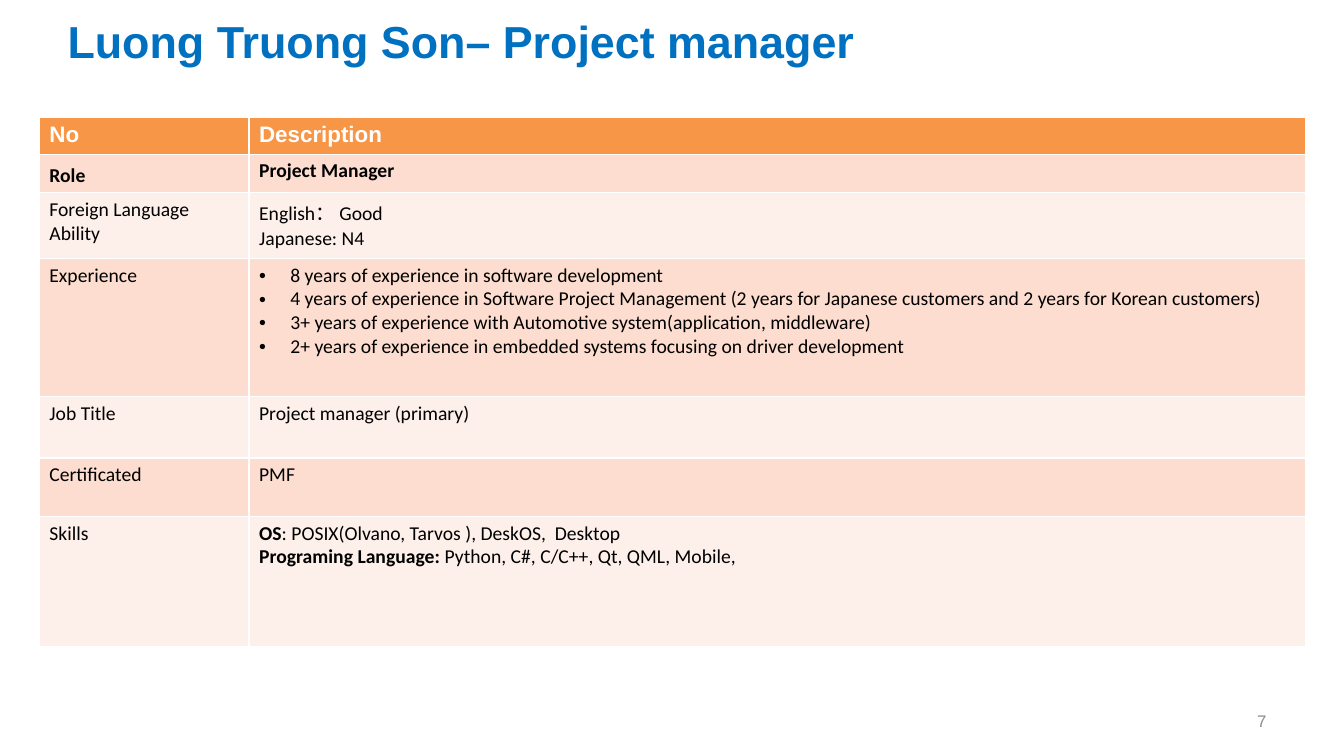
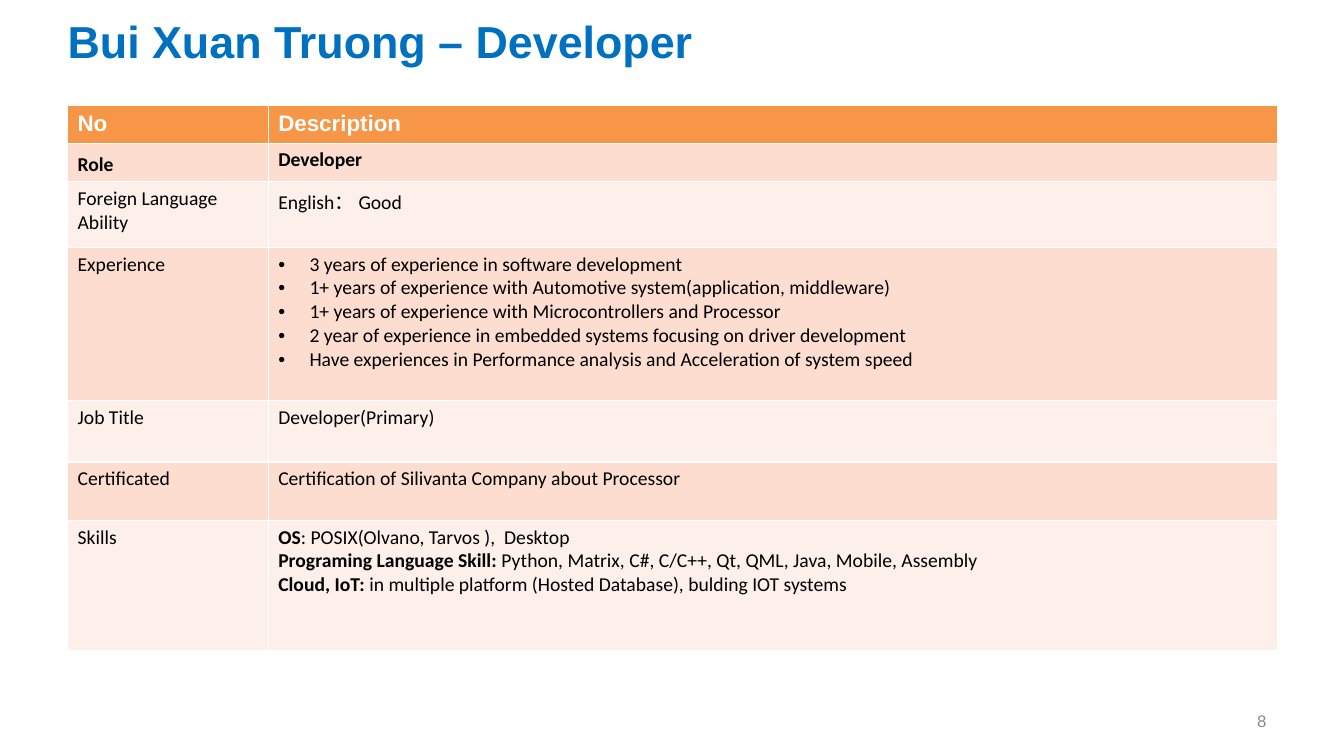
from lxml import etree
from pptx import Presentation
from pptx.dml.color import RGBColor
from pptx.enum import text
from pptx.oxml import ns
from pptx.util import Inches, Pt

HEADER_FILL = "F79646"
BAND_FILLS = ["FDEFE9", "FCDDCF"]
TITLE_FORMAT = {"name": "Arial", "size": Pt(32), "bold": True, "color": "0070C0"}
HEADER_FORMAT = {"name": "Arial", "size": Pt(16), "bold": True, "color": "FFFFFF"}
BODY_FORMAT = {"name": "Calibri", "size": Pt(14), "bold": False, "color": "000000"}
STRONG_FORMAT = {**BODY_FORMAT, "bold": True}
NUMBER_FORMAT = {"name": "Arial", "size": Pt(12), "bold": False, "color": "8C8C8C"}
TITLE_FRAME = {
    "margin_left": 0, "margin_right": Inches(0.13),
    "margin_top": Inches(0.07), "margin_bottom": Inches(0.07),
    "vertical_anchor": text.MSO_ANCHOR.MIDDLE,
    "word_wrap": True, "auto_size": text.MSO_AUTO_SIZE.NONE,
}
LABELS = [
    ["No"], ["Role\u3000"], ["Foreign Language", "Ability"], ["Experience"],
    ["Job Title "], ["Certificated"], ["Skills"],
]
EXPERIENCE_ROW = 3

profiles = [
    {
        "title": "Luong Truong Son\u2013 Project manager",
        "number": "7",
        "place": (0.39, 1.16),
        "columns": [2.08, 10.48],
        "experience_height": 1.37,
        "details": [
            ["Description"],
            ["Project Manager"],
            ["English\uff1a Good", "Japanese: N4"],
            [
                "8 years of experience in software development",
                "4 years of experience in Software Project Management "
                "(2 years for Japanese customers and 2 years for Korean customers)",
                "3+ years of experience with Automotive system(application, middleware)",
                "2+ years of experience in embedded systems focusing on driver development",
            ],
            ["Project manager (primary)"],
            ["PMF"],
            [
                "OS|: POSIX(Olvano, Tarvos ), DeskOS,  Desktop",
                "Programing Language: |Python, C#, C/C++, Qt, QML, Mobile, ",
            ],
        ],
    },
    {
        "title": "Bui Xuan Truong \u2013 Developer",
        "number": "8",
        "place": (0.67, 1.05),
        "columns": [1.99, 10.01],
        "experience_height": 1.52,
        "details": [
            ["Description"],
            ["Developer"],
            ["English\uff1a Good"],
            [
                "3 years of experience in software development",
                "1+ years of experience with Automotive system(application, middleware)",
                "1+ years of experience with Microcontrollers and Processor ",
                "2 year of experience in embedded systems focusing on driver development",
                "Have experiences in Performance analysis and Acceleration of system speed",
            ],
            ["Developer(Primary)"],
            ["Certification of Silivanta Company about Processor "],
            [
                "OS|: POSIX(Olvano, Tarvos ),  Desktop",
                "Programing Language Skill: |Python, Matrix, C#, C/C++, Qt, QML, Java, Mobile, Assembly",
                "Cloud, IoT: |in multiple platform (Hosted Database), bulding IOT systems",
            ],
        ],
    },
]


def color(hex_string):
    return RGBColor.from_string(hex_string)


def add_run(paragraph, words, style):
    run = paragraph.add_run()
    run.text = words
    for name, value in style.items():
        if name == "color":
            run.font.color.rgb = color(value)
        else:
            setattr(run.font, name, value)


presentation = Presentation()
presentation.slide_width = Inches(13.33)
presentation.slide_height = Inches(7.5)
title_only = presentation.slide_layouts[5]

for profile in profiles:
    slide = presentation.slides.add_slide(title_only)

    title = slide.shapes.title
    title.left, title.top, title.width, title.height = map(Inches, (0.67, 0.17, 12, 0.47))
    for name, value in TITLE_FRAME.items():
        setattr(title.text_frame, name, value)
    paragraph = title.text_frame.paragraphs[0]
    paragraph.alignment = text.PP_ALIGN.LEFT
    add_run(paragraph, profile["title"], TITLE_FORMAT)

    heights = [0.37, 0.37, 0.65, profile["experience_height"], 0.61, 0.58, 1.29]
    left, top = profile["place"]
    columns = profile["columns"]
    table = slide.shapes.add_table(
        len(heights), len(columns), Inches(left), Inches(top),
        Inches(sum(columns)), Inches(sum(heights)),
    ).table
    for column, width in zip(table.columns, columns):
        column.width = Inches(width)

    for row, height in enumerate(heights):
        table.rows[row].height = Inches(height)
        style = [HEADER_FORMAT, STRONG_FORMAT][row] if row < 2 else BODY_FORMAT
        for column, lines in enumerate([LABELS[row], profile["details"][row]]):
            cell = table.cell(row, column)
            cell.fill.solid()
            cell.fill.fore_color.rgb = color(BAND_FILLS[row % 2] if row else HEADER_FILL)
            for index, line in enumerate(lines):
                frame = cell.text_frame
                paragraph = frame.add_paragraph() if index else frame.paragraphs[0]
                heading, divider, rest = line.partition("|")
                add_run(paragraph, heading, STRONG_FORMAT if divider else style)
                if divider:
                    add_run(paragraph, rest, style)
                if row == EXPERIENCE_ROW and column == 1:
                    properties = paragraph._p.get_or_add_pPr()
                    properties.set("marL", str(Inches(0.31)))
                    properties.set("indent", str(-Inches(0.31)))
                    etree.SubElement(properties, ns.qn("a:buFont")).set("typeface", "Arial")
                    etree.SubElement(properties, ns.qn("a:buChar")).set("char", "\u2022")

    number = slide.shapes.add_textbox(*map(Inches, (9.55, 6.95, 3.11, 0.4))).text_frame
    number.word_wrap = True
    number.vertical_anchor = text.MSO_ANCHOR.MIDDLE
    paragraph = number.paragraphs[0]
    paragraph.alignment = text.PP_ALIGN.RIGHT
    add_run(paragraph, profile["number"], NUMBER_FORMAT)

presentation.save("out.pptx")
